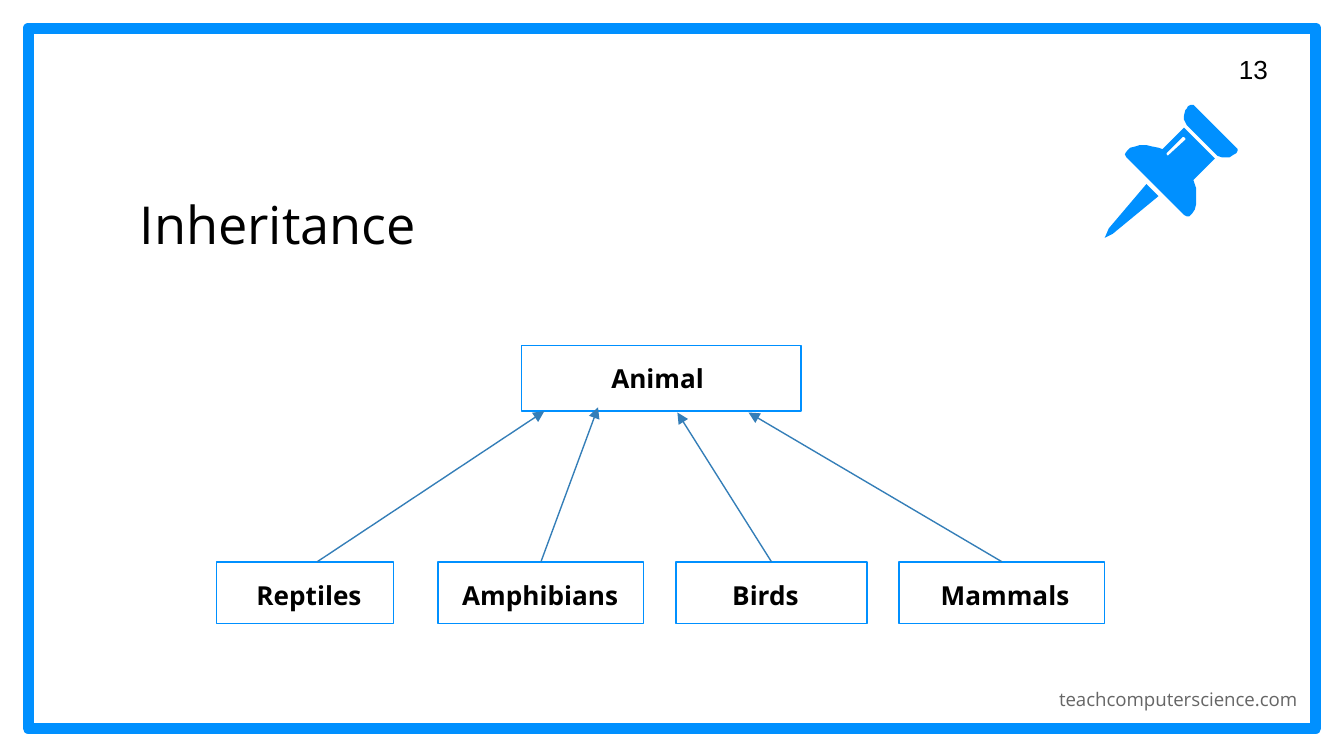
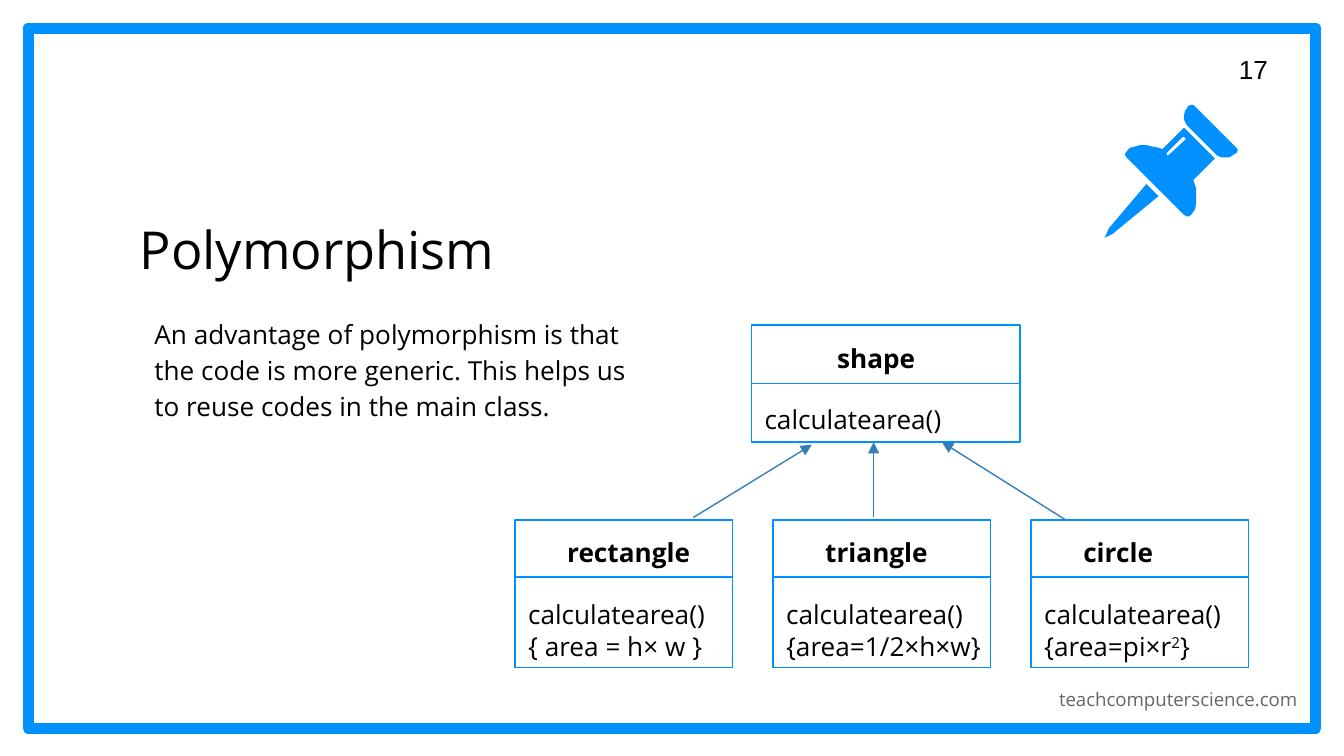
from dataclasses import dataclass
from typing import Any, Optional

from lxml.etree import SubElement
from pptx import Presentation
from pptx.dml.color import RGBColor
from pptx.enum.shapes import MSO_CONNECTOR, MSO_SHAPE
from pptx.enum.text import MSO_ANCHOR, MSO_AUTO_SIZE, PP_ALIGN
from pptx.oxml.ns import qn
from pptx.util import Pt

COLORS = {
    "accent": "0090FF",
    "arrow": "347EB8",
    "paper": "FFFFFF",
    "ink": "000000",
    "footer": "666666",
}
TEXT_FONT = "Open Sans"
TITLE_ONLY = 5
TOP, LEFT, RIGHT = 0, 1, 3  # connection sites of a rectangle
LABEL_HEIGHT = 27.4
EVEN_MARGINS = {f"margin_{side}": Pt(7.2) for side in ("left", "top", "right", "bottom")}

# Outlines of the pin, in hundredths of an inch (0.72 pt)
PIN_UNIT = Pt(0.72)
PIN_NEEDLE = [[(853, 137), (825, 170), (822, 177), (828, 174), (862, 146)]]
PIN_HEAD = [[
    (886, 78), (884, 79), (883, 81), (882, 82), (881, 86), (881, 89), (883, 93),
    (906, 116), (909, 117), (915, 117), (918, 115), (920, 114), (921, 112),
    (921, 111), (920, 110), (889, 79), (888, 78),
]]
PIN_BODY = [
    [(881, 102), (882, 103), (882, 104), (870, 115), (869, 116), (868, 115),
     (868, 114), (880, 102)],
    [(881, 95), (865, 111), (862, 110), (857, 109), (853, 108), (848, 108),
     (845, 109), (841, 110), (838, 113), (837, 115), (838, 117), (881, 160),
     (883, 161), (885, 161), (887, 159), (889, 156), (890, 152), (890, 140),
     (889, 137), (888, 134), (904, 118)],
]


@dataclass(frozen=True)
class Frame:
    left: float
    top: float
    width: float
    height: float

    def lengths(self) -> tuple:
        return tuple(Pt(v) for v in (self.left, self.top, self.width, self.height))


@dataclass(frozen=True)
class Animal:
    name: str
    frame: Frame
    indent: float
    name_width: float


@dataclass(frozen=True)
class ClassBox:
    """Each method line is split into runs; every second run is superscript."""
    name: str
    frame: Frame
    indent: float
    methods: tuple


@dataclass(frozen=True)
class Arrow:
    start: tuple
    tip: tuple
    joined_to: Optional[int] = None


ANIMALS = [
    Animal("Animal", Frame(279.4, 185, 149.8, 35.3), 41, 67.7),
    Animal("Reptiles", Frame(115.9, 301, 95, 33.1), 14.4, 81.4),
    Animal("Amphibians", Frame(234.7, 301, 110.2, 33.1), 5.8, 103),
    Animal("Birds", Frame(362.2, 301, 102.2, 33.1), 23, 52.6),
    Animal("Mammals", Frame(481.7, 301, 110.2, 33.1), 15.1, 87.8),
]
ANIMAL_ARROWS = [
    Arrow((169.9, 301), (291.6, 220.3)),
    Arrow((291.6, 299.5), (320.4, 218.2), joined_to=2),
    Arrow((411.1, 302.4), (362.9, 221), joined_to=3),
    Arrow((537.1, 301), (401, 221), joined_to=4),
]

AREA_CALL = ("calculatearea()",)
AREA_FORMULAS = {
    "rectangle": ("{ area = h× w }",),
    "triangle": ("{area=1/2×h×w}",),
    "circle": ("{area=pi×r", "2", "}"),
}
PARENT_CLASS = ClassBox("shape", Frame(402.5, 174.2, 144, 62.6), 38.9, (AREA_CALL,))
CHILD_CLASSES = [
    ClassBox(name, Frame(275.8 + 138.24 * column, 278.6, 116.6, 79.2), 21,
             (AREA_CALL, formula))
    for column, (name, formula) in enumerate(AREA_FORMULAS.items())
]
CLASS_ARROWS = [
    Arrow((371.5, 277.2), (434.9, 238.3)),
    Arrow((468, 277.2), (468, 236.9)),
    Arrow((571, 278.6), (504.7, 236.9)),
]


def color(name: str) -> RGBColor:
    return RGBColor.from_string(COLORS[name])


def apply_format(target: Any, values: dict) -> None:
    for attribute, value in values.items():
        setattr(target, attribute, value)


def style_font(font: Any, size: float = 14, ink: str = "ink",
               name: str = TEXT_FONT, bold: bool = False) -> None:
    apply_format(font, {"name": name, "size": Pt(size), "bold": bold})
    font.color.rgb = color(ink)


def add_text(shapes: Any, frame: Frame, lines: tuple, frame_format: dict = {},
             **font_values: Any) -> Any:
    text_frame = shapes.add_textbox(*frame.lengths()).text_frame
    apply_format(text_frame, {"word_wrap": True, **frame_format})
    for index, line in enumerate(lines):
        paragraph = text_frame.add_paragraph() if index else text_frame.paragraphs[0]
        for position, part in enumerate(line):
            run = paragraph.add_run()
            run.text = part
            style_font(run.font, **font_values)
            if position % 2:
                run._r.get_or_add_rPr().set("baseline", "30000")
    return text_frame


def add_rectangle(shapes: Any, frame: Frame, weight: float = 0.75) -> Any:
    rectangle = shapes.add_shape(MSO_SHAPE.RECTANGLE, *frame.lengths())
    rectangle.shadow.inherit = False
    rectangle.fill.background()
    rectangle.line.color.rgb = color("accent")
    rectangle.line.width = Pt(weight)
    return rectangle


def add_line(shapes: Any, start: tuple, end: tuple, ink: str) -> Any:
    line = shapes.add_connector(MSO_CONNECTOR.STRAIGHT, *(Pt(v) for v in start + end))
    line.line.color.rgb = color(ink)
    line.line.width = Pt(0.75)
    SubElement(line.element.spPr, qn("a:effectLst"))
    return line


def add_arrow(shapes: Any, arrow: Arrow, boxes: list) -> None:
    line = add_line(shapes, arrow.start, arrow.tip, "arrow")
    SubElement(line.line._get_or_add_ln(), qn("a:tailEnd"), type="triangle")
    if arrow.joined_to is not None:
        line.begin_connect(boxes[arrow.joined_to], TOP)


def add_pin(slide: Any) -> None:
    pin = slide.shapes.add_group_shape()
    for contours in (PIN_NEEDLE, PIN_HEAD, PIN_BODY):
        (first, *rest), *holes = contours
        builder = pin.shapes.build_freeform(*first, scale=PIN_UNIT)
        builder.add_line_segments(rest, close=True)
        for hole_start, *hole_rest in holes:
            builder.move_to(*hole_start)
            builder.add_line_segments(hole_rest, close=True)
        part = builder.convert_to_shape()
        part.shadow.inherit = False
        part.fill.solid()
        part.fill.fore_color.rgb = color("accent")
        part.line.fill.background()


def add_titled_slide(deck: Any, heading: str, title_top: float, number: int) -> Any:
    """Add a slide with border, footer, title, page number and pin."""
    slide = deck.slides.add_slide(deck.slide_layouts[TITLE_ONLY])
    title = slide.shapes.title
    border = add_rectangle(slide.shapes, Frame(15.1, 15.1, 689.8, 375.1), weight=6)
    border.fill.solid()
    border.fill.fore_color.rgb = color("paper")
    title.element.addprevious(border.element)

    footer = add_text(slide.shapes, Frame(552.2, 362.2, 149.8, 20.9),
                      (("teachcomputerscience.com",),), EVEN_MARGINS,
                      size=10, ink="footer")
    footer.paragraphs[0].alignment = PP_ALIGN.RIGHT

    place = Frame(67.7, title_top, 416.2, 56.2).lengths()
    apply_format(title, dict(zip(("left", "top", "width", "height"), place)))
    apply_format(title.text_frame, {
        "text": heading, "auto_size": MSO_AUTO_SIZE.NONE, "word_wrap": True,
        "vertical_anchor": MSO_ANCHOR.BOTTOM, **EVEN_MARGINS,
    })
    title_line = title.text_frame.paragraphs[0]
    title_line.alignment = PP_ALIGN.LEFT
    style_font(title_line.runs[0].font, size=28)

    add_text(slide.shapes, Frame(656.6, 21.6, 43.2, 31), ((str(number),),),
             {"vertical_anchor": MSO_ANCHOR.MIDDLE, **EVEN_MARGINS}, name="Arial")
    add_pin(slide)
    return slide


def add_animal(shapes: Any, animal: Animal) -> Any:
    box = add_rectangle(shapes, animal.frame)
    name_frame = Frame(animal.frame.left + animal.indent, animal.frame.top + 5.8,
                       animal.name_width, LABEL_HEIGHT)
    add_text(shapes, name_frame, ((animal.name,),), bold=True)
    return box


def add_class_box(shapes: Any, item: ClassBox) -> Any:
    left, top, width = item.frame.left, item.frame.top, item.frame.width
    box = add_rectangle(shapes, item.frame)
    divider_top = top + 30.6
    divider = add_line(shapes, (left, divider_top), (left + width, divider_top), "accent")
    if item is PARENT_CLASS:
        divider.begin_connect(box, LEFT)
        divider.end_connect(box, RIGHT)
    add_text(shapes, Frame(left + item.indent, top + 5.4, 86.4, LABEL_HEIGHT),
             ((item.name,),), bold=True)
    add_text(shapes, Frame(left, top + 38.5, 131, 7.2 + 17 * len(item.methods)),
             item.methods)
    return box


def build_inheritance(deck: Any) -> None:
    slide = add_titled_slide(deck, "Inheritance", 87.8, 13)
    tree = slide.shapes.add_group_shape().shapes
    boxes = [add_animal(tree, animal) for animal in ANIMALS]
    for arrow in ANIMAL_ARROWS:
        add_arrow(tree, arrow, boxes)


def build_polymorphism(deck: Any) -> None:
    slide = add_titled_slide(deck, "Polymorphism", 100.8, 17)
    advantage = add_text(
        slide.shapes, Frame(67.7, 160.6, 288.7, 157.7),
        (("An advantage of polymorphism is that the code is more generic. "
          "This helps us to reuse codes in the main class.",),), EVEN_MARGINS)
    paragraph = advantage.paragraphs[0]
    paragraph.line_spacing = 1.15
    paragraph._p.get_or_add_pPr().set("marL", str(Pt(7.9)))

    tree = slide.shapes.add_group_shape().shapes
    boxes = [add_class_box(tree, item) for item in (PARENT_CLASS, *CHILD_CLASSES)]
    for arrow in CLASS_ARROWS:
        add_arrow(tree, arrow, boxes)


def main() -> None:
    deck = Presentation()
    deck.slide_width, deck.slide_height = Pt(720), Pt(405)
    build_inheritance(deck)
    build_polymorphism(deck)
    deck.save("out.pptx")


if __name__ == "__main__":
    main()
